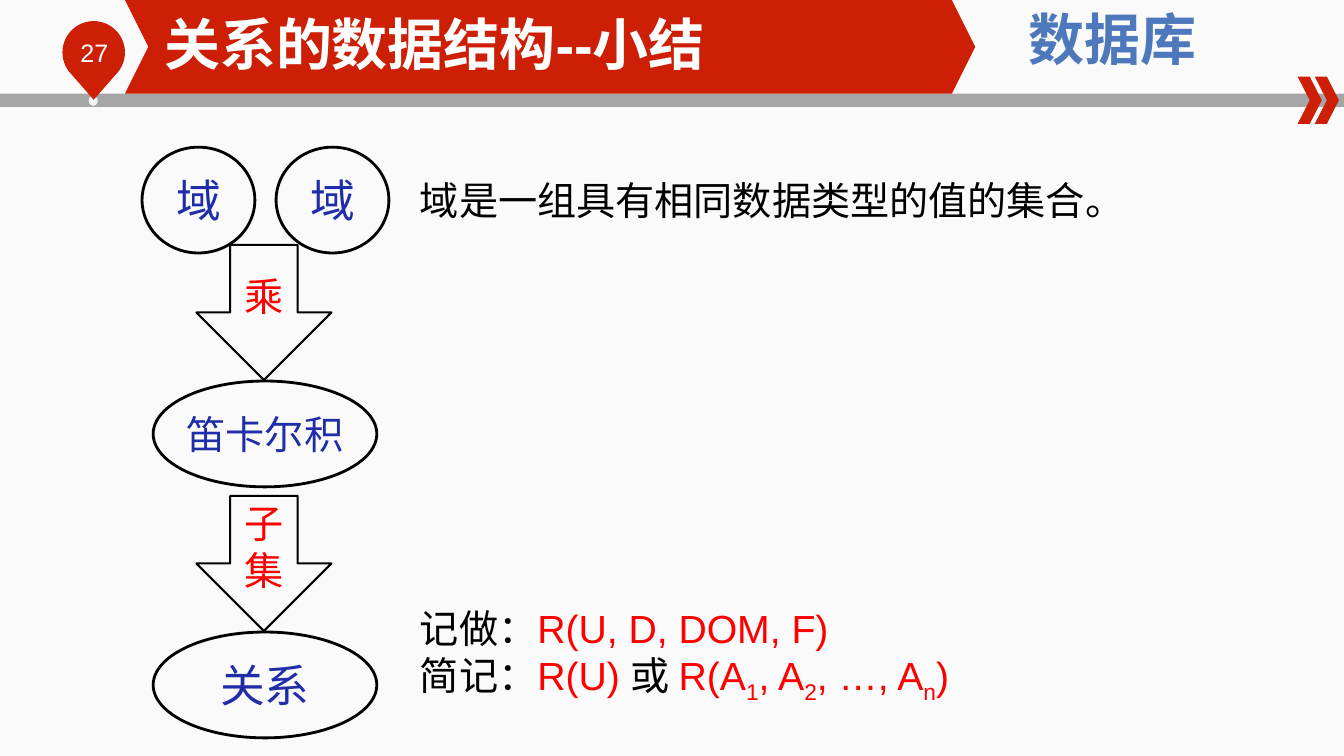
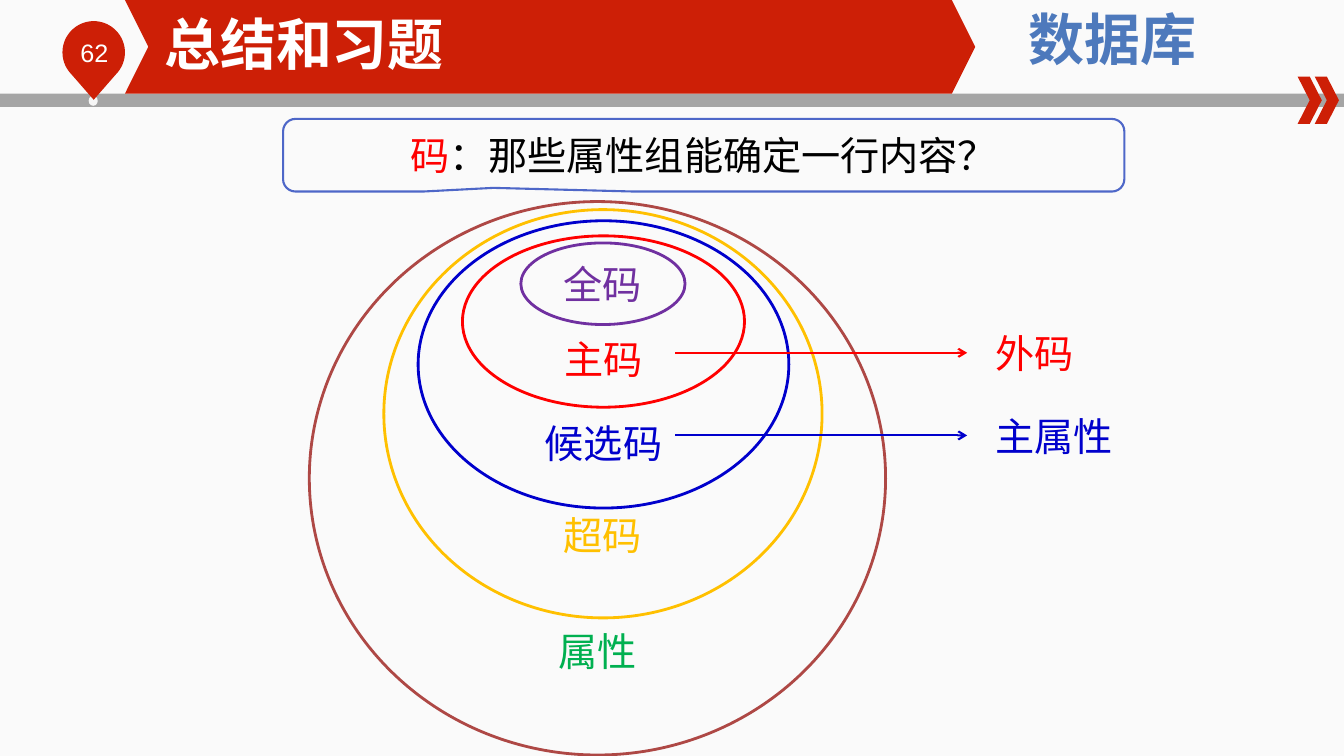
"""Build two database lecture slides: a relation summary and nested keys."""
import math
from dataclasses import dataclass

import lxml.etree
import pptx
import pptx.dml.color
import pptx.enum.shapes
import pptx.enum.text
import pptx.oxml.ns
import pptx.shapes.autoshape
import pptx.slide
import pptx.text.text
import pptx.util

RGBColor = pptx.dml.color.RGBColor
SHAPE = pptx.enum.shapes.MSO_SHAPE
ALIGN = pptx.enum.text.PP_ALIGN
ANCHOR = pptx.enum.text.MSO_ANCHOR

BLACK = RGBColor(0x00, 0x00, 0x00)
WHITE = RGBColor(0xFF, 0xFF, 0xFF)
BAND_RED = RGBColor(0xCD, 0x1F, 0x06)
BAND_GREY = RGBColor(0xA5, 0xA5, 0xA5)
DOT_GREY = RGBColor(0xF6, 0xF6, 0xF6)
PAGE_TOP = RGBColor(0xFA, 0xFA, 0xFA)
PAGE_BOTTOM = RGBColor(0xFC, 0xFC, 0xFC)
COURSE_BLUE = RGBColor(0x4D, 0x79, 0xBC)
NODE_BLUE = RGBColor(0x1F, 0x2D, 0xA8)
CALLOUT_BLUE = RGBColor(0x4E, 0x67, 0xC8)
KEY_BLUE = RGBColor(0x00, 0x00, 0xCC)
RED = RGBColor(0xFF, 0x00, 0x00)
PURPLE = RGBColor(0x70, 0x30, 0xA0)
AMBER = RGBColor(0xFF, 0xC0, 0x00)
GREEN = RGBColor(0x00, 0xB0, 0x50)
BRICK = RGBColor(0xAE, 0x48, 0x45)

LATIN = "Arial"
CHINESE = "Noto Sans CJK SC"
BODY_SIZE = 28
CELL = pptx.util.Inches(0.1)
COLUMNS, ROWS = 133.4, 75


@dataclass(frozen=True)
class Box:
    left: float
    top: float
    width: float
    height: float


@dataclass(frozen=True)
class Span:
    text: str
    color: RGBColor = BLACK
    subscript: bool = False


@dataclass(frozen=True)
class Node:
    text: str
    box: Box
    size: int = 32


@dataclass(frozen=True)
class Ring:
    text: str
    box: Box
    line: RGBColor
    color: RGBColor
    floor: float = 0


@dataclass(frozen=True)
class Pointer:
    text: str
    row: float
    label_top: float
    color: RGBColor


BADGE = Box(7, 3.2, 7.6, 4)
TITLE = Box(16.3, 0.9, 66.1, 6.7)
COURSE = Box(96.8, 0, 27.2, 7.7)
PIN_X, PIN_Y, PIN_RADIUS, PIN_TIP = 9.3, 5.2, 3.1, 9.9

NODES = [
    Node("域", Box(14.1, 14.6, 11.2, 10.5)),
    Node("域", Box(27.4, 14.6, 11.2, 10.5)),
    Node("笛卡尔积", Box(15.2, 37.8, 22.2, 10.5), BODY_SIZE),
    Node("关系", Box(15.2, 62.7, 22.2, 10.5)),
]
STEPS = [
    Node("乘", Box(19.5, 24.3, 13.4, 13.4), BODY_SIZE),
    Node("子集", Box(19.5, 49.2, 13.4, 13.4), BODY_SIZE),
]
NOTATION = [
    [Span("记做："), Span("R(U, D, DOM, F)", RED)],
    [
        Span("简记："), Span("R(U) ", RED), Span("或 "), Span("R(A", RED),
        Span("1", RED, True), Span(", A", RED), Span("2", RED, True),
        Span(", …, A", RED), Span("n", RED, True), Span(")", RED),
    ],
]
RINGS = [
    Ring("全码", Box(51.7, 24.1, 16.3, 8.1), PURPLE, PURPLE, 0.5),
    Ring("主码", Box(45.9, 23.4, 28, 17), RED, RED),
    Ring("候选码", Box(41.5, 21.9, 36.8, 28.5), KEY_BLUE, KEY_BLUE),
    Ring("超码", Box(38.1, 20.8, 43.5, 40.5), AMBER, AMBER),
    Ring("属性", Box(30.7, 20, 57.2, 54.9), BRICK, GREEN),
]
POINTERS = [
    Pointer("外码", 35, 32.2, RED),
    Pointer("主属性", 43.2, 40.4, KEY_BLUE),
]


def cells(count: float) -> pptx.util.Emu:
    return pptx.util.Emu(round(count * CELL))


def place(box: Box) -> tuple[pptx.util.Emu, ...]:
    return cells(box.left), cells(box.top), cells(box.width), cells(box.height)


def write(
    frame: pptx.text.text.TextFrame,
    lines: list[list[Span]],
    size: int = BODY_SIZE,
    font: str = CHINESE,
    align: ALIGN = ALIGN.LEFT,
    anchor: ANCHOR = ANCHOR.TOP,
    bold: bool = False,
    wrap: bool = True,
    inset: float | None = None,
    floor: float | None = None,
) -> None:
    frame.word_wrap = wrap
    frame.auto_size = pptx.enum.text.MSO_AUTO_SIZE.NONE
    frame.vertical_anchor = anchor
    if inset is not None:
        frame.margin_left = frame.margin_right = cells(inset)
        frame.margin_top = frame.margin_bottom = cells(inset)
    if floor is not None:
        frame.margin_bottom = cells(floor)
    for index, spans in enumerate(lines):
        para = frame.add_paragraph() if index else frame.paragraphs[0]
        para.alignment = align
        para.font.size = pptx.util.Pt(size)
        para.font.name = font
        para.font.bold = bold
        same_color = len({span.color for span in spans}) == 1
        if same_color:
            para.font.color.rgb = spans[0].color
        east_asian = lxml.etree.SubElement(para.font._rPr, pptx.oxml.ns.qn("a:ea"))
        east_asian.set("typeface", CHINESE)
        for span in spans:
            run = para.add_run()
            run.text = span.text
            if not same_color:
                run.font.color.rgb = span.color
            if span.subscript:
                run.font._rPr.set("baseline", "-25000")


def add_text(page: pptx.slide.Slide, box: Box, lines: list[list[Span]], **style) -> None:
    write(page.shapes.add_textbox(*place(box)).text_frame, lines, **style)


def paint(shape: pptx.shapes.autoshape.Shape, fill: RGBColor) -> None:
    shape.shadow.inherit = False
    shape.fill.solid()
    shape.fill.fore_color.rgb = fill
    shape.line.fill.background()


def add_solid(
    page: pptx.slide.Slide, kind: SHAPE, box: Box, fill: RGBColor, *adjustments: float
) -> None:
    shape = page.shapes.add_shape(kind, *place(box))
    paint(shape, fill)
    for index, value in enumerate(adjustments):
        shape.adjustments[index] = value


def add_outline(
    page: pptx.slide.Slide, kind: SHAPE, box: Box, line: RGBColor, weight: float
) -> pptx.shapes.autoshape.Shape:
    shape = page.shapes.add_shape(kind, *place(box))
    shape.shadow.inherit = False
    shape.fill.background()
    shape.line.color.rgb = line
    shape.line.width = pptx.util.Pt(weight)
    return shape


def add_pin(page: pptx.slide.Slide) -> None:
    arc = [
        (
            cells(PIN_X + PIN_RADIUS * math.cos(math.radians(angle))),
            cells(PIN_Y + PIN_RADIUS * math.sin(math.radians(angle))),
        )
        for angle in range(135, 406, 5)
    ]
    builder = page.shapes.build_freeform(cells(PIN_X), cells(PIN_TIP))
    builder.add_line_segments(arc, close=True)
    paint(builder.convert_to_shape(), BAND_RED)


def add_arrow(page: pptx.slide.Slide, row: float, color: RGBColor) -> None:
    arrow = page.shapes.add_connector(
        pptx.enum.shapes.MSO_CONNECTOR.STRAIGHT,
        cells(67), cells(row), cells(96), cells(row),
    )
    arrow.line.color.rgb = color
    arrow.line.width = pptx.util.Pt(1.5)
    tail = lxml.etree.SubElement(arrow.line._get_or_add_ln(), pptx.oxml.ns.qn("a:tailEnd"))
    tail.set("type", "arrow")
    lxml.etree.SubElement(arrow._element.spPr, pptx.oxml.ns.qn("a:effectLst"))


def add_page(deck: pptx.presentation.Presentation, title: str, number: int) -> pptx.slide.Slide:
    page = deck.slides.add_slide(deck.slide_layouts.get_by_name("Title Only"))
    add_solid(page, SHAPE.RECTANGLE, Box(0, 9.3, COLUMNS, 1.3), BAND_GREY)
    add_solid(page, SHAPE.OVAL, Box(8.8, 9.5, 0.9, 1), DOT_GREY)
    add_pin(page)
    add_text(page, BADGE, [[Span(str(number), WHITE)]], size=18, font=LATIN)
    for left in (128.8, 130.5):
        add_solid(page, SHAPE.CHEVRON, Box(left, 7.6, 2.4, 4.7), BAND_RED, 0.5)
    add_solid(page, SHAPE.CHEVRON, Box(12.4, 0, 84.4, 9.3), BAND_RED, 0.25)
    add_text(page, COURSE, [[Span("数据库", COURSE_BLUE)]],
             size=40, align=ALIGN.CENTER, bold=True)
    heading = page.shapes.title
    heading.left, heading.top, heading.width, heading.height = place(TITLE)
    write(heading.text_frame, [[Span(title, WHITE)]],
          size=40, font=LATIN, anchor=ANCHOR.MIDDLE, bold=True, inset=0)
    page.shapes._spTree.append(heading._element)
    return page


def build_relation(deck: pptx.presentation.Presentation) -> None:
    page = add_page(deck, "关系的数据结构--小结", 27)
    for node in NODES:
        oval = add_outline(page, SHAPE.OVAL, node.box, BLACK, 2)
        write(oval.text_frame, [[Span(node.text, NODE_BLUE)]], size=node.size, font=LATIN,
              align=ALIGN.CENTER, anchor=ANCHOR.MIDDLE, wrap=False, inset=0)
    for step in STEPS:
        arrow = add_outline(page, SHAPE.DOWN_ARROW, step.box, BLACK, 1.5)
        write(arrow.text_frame, [[Span(step.text, RED)]], size=step.size, font=LATIN,
              align=ALIGN.CENTER, anchor=ANCHOR.MIDDLE)
    add_text(page, Box(40.7, 17, 76, 5.7), [[Span("域是一组具有相同数据类型的值的集合。")]])
    add_text(page, Box(40.7, 59.5, 66.7, 10.4), NOTATION, font=LATIN)


def build_keys(deck: pptx.presentation.Presentation) -> None:
    page = add_page(deck, "总结和习题", 62)
    for ring in RINGS:
        oval = add_outline(page, SHAPE.OVAL, ring.box, ring.line, 2)
        write(oval.text_frame, [[Span(ring.text, ring.color)]], align=ALIGN.CENTER,
              anchor=ANCHOR.BOTTOM, inset=0, floor=ring.floor)
    for pointer in POINTERS:
        add_arrow(page, pointer.row, pointer.color)
        add_text(page, Box(97.8, pointer.label_top, 18, 5.7),
                 [[Span(pointer.text, pointer.color)]])
    callout = add_outline(page, SHAPE.ROUNDED_RECTANGULAR_CALLOUT,
                          Box(28.1, 11.8, 83.5, 7.2), CALLOUT_BLUE, 1.5)
    for index, value in enumerate((-0.25, 0.45, 0.17)):
        callout.adjustments[index] = value
    write(callout.text_frame, [[Span("码", RED), Span("：那些属性组能确定一行内容？")]],
          align=ALIGN.CENTER, anchor=ANCHOR.MIDDLE)


def main() -> None:
    deck = pptx.Presentation()
    deck.slide_width, deck.slide_height = cells(COLUMNS), cells(ROWS)
    backdrop = deck.slide_master.background.fill
    backdrop.gradient()
    backdrop.gradient_angle = 270
    for stop, color in zip(backdrop.gradient_stops, (PAGE_TOP, PAGE_BOTTOM)):
        stop.color.rgb = color
    build_relation(deck)
    build_keys(deck)
    deck.save("out.pptx")


if __name__ == "__main__":
    main()
